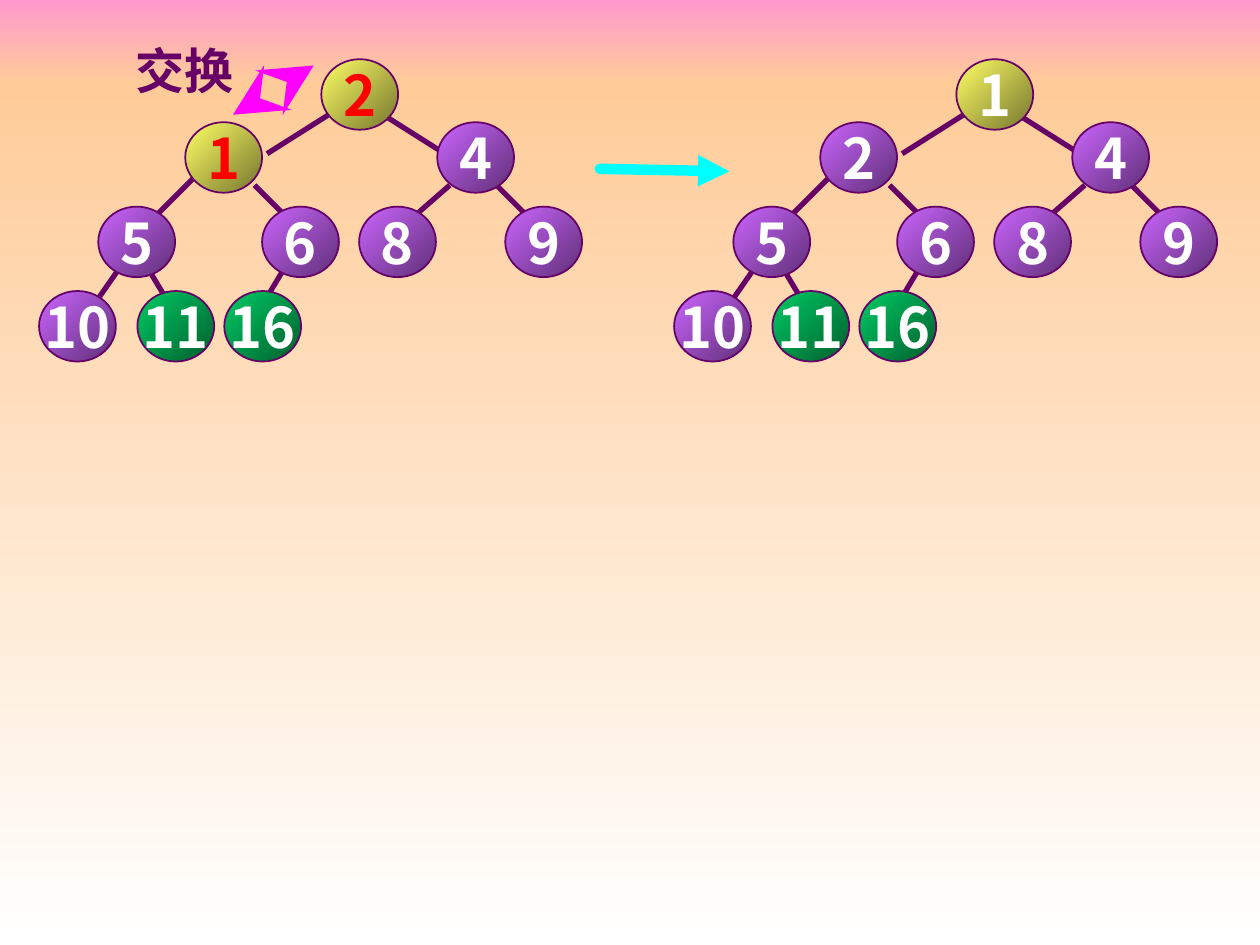
from lxml.etree import SubElement
from pptx import Presentation
from pptx.dml.color import RGBColor
from pptx.enum.shapes import MSO_CONNECTOR as CONNECTOR, MSO_SHAPE as SHAPE
from pptx.enum.text import MSO_ANCHOR as ANCHOR, MSO_AUTO_SIZE as AUTO_SIZE, PP_ALIGN as ALIGN
from pptx.oxml.ns import qn
from pptx.util import Inches, Pt

COLORS = {
    "pink": "FF99CC", "peach": "FFCC99", "white": "FFFFFF",
    "plum": "660066", "cyan": "00FFFF", "magenta": "FF00FF", "red": "FF0000",
    "yellow": "FFFF66", "violet": "CC66FF", "green": "00CC64",
}


def fill_gradient(shape, start, end, angle):
    shape.shadow.inherit = False
    shape.fill.gradient()
    shape.fill.gradient_angle = angle
    for stop, name in zip(shape.fill.gradient_stops, (start, end)):
        stop.color.rgb = RGBColor.from_string(COLORS[name])


def style_line(shape, name, width, **arrowheads):
    shape.line.color.rgb = RGBColor.from_string(COLORS[name])
    shape.line.width = Pt(width)
    properties = shape._element.spPr
    if properties.find(qn("a:effectLst")) is None:
        SubElement(properties, qn("a:effectLst"))
    line = properties.find(qn("a:ln"))
    for end, (kind, size) in arrowheads.items():
        SubElement(line, qn(f"a:{end}"), type=kind, w=size, len=size)


presentation = Presentation()
presentation.slide_width = Inches(10)
presentation.slide_height = Inches(7.5)
slide = presentation.slides.add_slide(presentation.slide_layouts[6])
shapes = slide.shapes

# Background bands: top, height, colours
for top, height, start, end in [(0, 0.67, "pink", "peach"), (0.67, 6.83, "peach", "white")]:
    band = shapes.add_shape(SHAPE.RECTANGLE, 0, Inches(top), Inches(10), Inches(height))
    fill_gradient(band, start, end, 270)
    band.line.fill.background()

# Swap label
label = shapes.add_textbox(Inches(0.98), Inches(0.27), Inches(1.26), Inches(0.57))
label.text_frame.word_wrap = True
label.text_frame.auto_size = AUTO_SIZE.SHAPE_TO_FIT_TEXT
paragraph = label.text_frame.paragraphs[0]
paragraph.text = "交换"
indent = Inches(0.38)
properties = paragraph._p.get_or_add_pPr()
properties.set("marL", str(indent))
properties.set("indent", str(-indent))
font = paragraph.runs[0].font
font.name, font.size, font.bold = "Arial", Pt(28), True
font.color.rgb = RGBColor.from_string(COLORS["plum"])

# Arrow from the first heap to the second
step_arrow = shapes.add_connector(
    CONNECTOR.STRAIGHT, Inches(4.76), Inches(1.34), Inches(5.79), Inches(1.36))
style_line(step_arrow, "cyan", 6, tailEnd=("triangle", "med"))
step_arrow.line._ln.set("cap", "rnd")

# Double arrow between the swapped nodes
builder = shapes.build_freeform(Inches(1.85), Inches(0.91))
builder.add_line_segments([(Inches(2.49), Inches(0.52))], close=False)
swap_arrow = builder.convert_to_shape()
swap_arrow.fill.background()
style_line(swap_arrow, "magenta", 6, headEnd=("stealth", "lg"), tailEnd=("stealth", "lg"))

# Heap layout: edges as x1, y1, x2, y2; nodes as left, row
EDGES = [
    (2.12, 1.22, 2.61, 0.91), (3.04, 0.91, 3.53, 1.22), (3.94, 1.47, 4.25, 1.78),
    (0.94, 2.14, 0.71, 2.47), (1.33, 2.39, 1.18, 2.14), (3.57, 1.47, 3.18, 1.81),
    (2.02, 1.47, 2.33, 1.78), (1.56, 1.39, 1.25, 1.7), (2.25, 2.14, 2.1, 2.39),
]
ROW_TOPS = [0.47, 0.97, 1.64, 2.31]
NODES = [(2.55, 0), (1.47, 1), (3.47, 1), (0.78, 2), (2.08, 2),
         (2.85, 2), (4.01, 2), (0.31, 3), (1.09, 3), (1.78, 3)]
LOWER_VALUES = [4, 5, 6, 8, 9, 10, 11, 16]
LOWER_FILLS = ["violet"] * 6 + ["green"] * 2

# Heaps before and after the swap: offset, top two values, fills and text colour
HEAPS = [
    (0, [2, 1], ["yellow", "yellow"], "red"),
    (5.04, [1, 2], ["yellow", "violet"], "white"),
]
for offset, top_values, top_fills, top_text in HEAPS:
    heap = shapes.add_group_shape().shapes
    for x1, y1, x2, y2 in EDGES:
        edge = heap.add_connector(
            CONNECTOR.STRAIGHT, Inches(x1 + offset), Inches(y1), Inches(x2 + offset), Inches(y2))
        style_line(edge, "plum", 3)

    values = top_values + LOWER_VALUES
    fills = top_fills + LOWER_FILLS
    text_colors = [top_text] * 2 + ["white"] * len(LOWER_VALUES)
    for (left, row), value, fill, text_color in zip(NODES, values, fills, text_colors):
        node = heap.add_shape(SHAPE.OVAL, Inches(left + offset), Inches(ROW_TOPS[row]),
                              Inches(0.61), Inches(0.56))
        fill_gradient(node, fill, fill, 315)
        # Darken the far end of the gradient, shading in gamma space
        end_color = list(node._element.spPr.iter(qn("a:srgbClr")))[-1]
        SubElement(end_color, qn("a:gamma"))
        SubElement(end_color, qn("a:shade"), val="46275")
        SubElement(end_color, qn("a:invGamma"))
        style_line(node, "plum", 1)
        text_frame = node.text_frame
        text_frame.word_wrap = False
        text_frame.vertical_anchor = ANCHOR.MIDDLE
        text_frame.margin_left = text_frame.margin_right = Inches(0.08)
        text_frame.text = str(value)
        paragraph = text_frame.paragraphs[0]
        paragraph.alignment = ALIGN.CENTER
        font = paragraph.runs[0].font
        font.name, font.size, font.bold = "Noto Sans CJK SC", Pt(32), True
        font.color.rgb = RGBColor.from_string(COLORS[text_color])

presentation.save("out.pptx")
